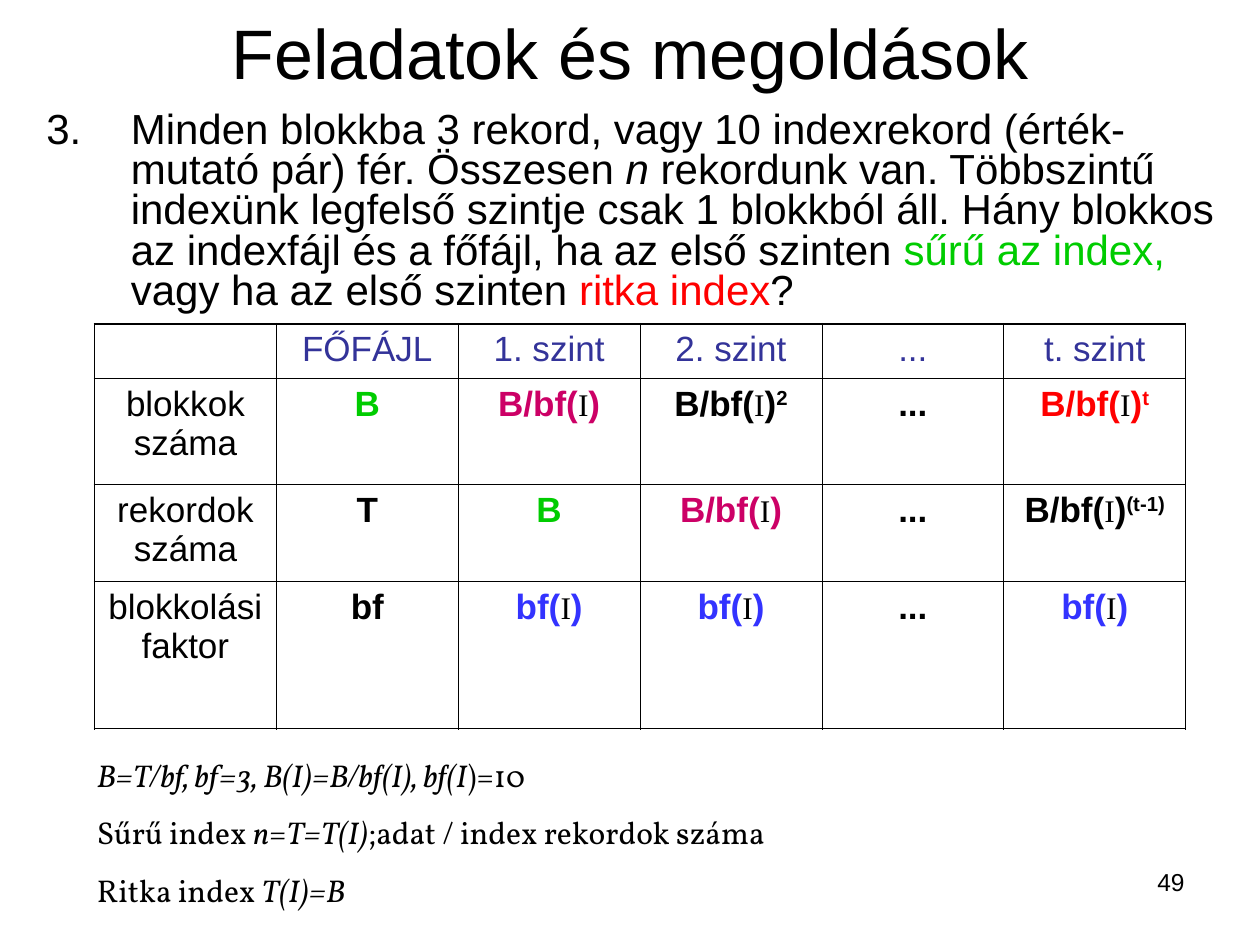
from lxml import etree
from pptx import Presentation
from pptx.dml.color import RGBColor
from pptx.enum.text import MSO_ANCHOR, PP_ALIGN
from pptx.oxml.ns import qn
from pptx.util import Inches, Pt

CENTER, LEFT, RIGHT = PP_ALIGN.CENTER, PP_ALIGN.LEFT, PP_ALIGN.RIGHT
TOP, MIDDLE = MSO_ANCHOR.TOP, MSO_ANCHOR.MIDDLE
WIDTH, HEIGHT = Inches(10), Inches(7.5)
COLORS = {"black": "000000", "green": "00CC00", "red": "FF0000",
          "navy": "333399", "magenta": "CC0066", "blue": "3333FF"}
THIN, THICK = Pt(0.45), Pt(1.08)
COLUMNS, ROWS = 6, (0.43, 0.84, 0.77, 1.17)


def share(left, top, width, height):
    """Turn percentages of the slide into a left, top, width, height tuple."""
    return (int(WIDTH * left / 100), int(HEIGHT * top / 100),
            int(WIDTH * width / 100), int(HEIGHT * height / 100))


def add_run(p, text, size, font="Arial", color="black", bold=False, italic=False, sup=False):
    """Append one formatted run to a paragraph."""
    r = p.add_run()
    r.text = text
    f = r.font
    f.size, f.name, f.bold, f.italic = Pt(size), font, bold, italic
    f.color.rgb = RGBColor.from_string(COLORS[color])
    if sup:
        r._r.get_or_add_rPr().set("baseline", "30000")


def add_text(slide, place, align=LEFT, anchor=TOP):
    """Add a wrapping text box and return its text frame."""
    tf = slide.shapes.add_textbox(*share(*place)).text_frame
    tf.word_wrap = True
    tf.vertical_anchor = anchor
    tf.paragraphs[0].alignment = align
    return tf


def number_paragraph(p, start, indent):
    """Give a paragraph an automatic number and a hanging indent."""
    pPr = p._p.get_or_add_pPr()
    pPr.set("marL", str(indent))
    pPr.set("indent", str(-indent))
    color = etree.SubElement(pPr, qn("a:buClr"))
    etree.SubElement(color, qn("a:srgbClr"), val=COLORS["black"])
    etree.SubElement(pPr, qn("a:buFont"), typeface="Arial")
    etree.SubElement(pPr, qn("a:buAutoNum"), type="arabicPeriod", startAt=str(start))


def set_borders(cell, row, col):
    """Draw thin cell borders, thick along the outside of the table."""
    outer = {"L": col == 0, "R": col == COLUMNS - 1,
             "T": row == 0, "B": row == len(ROWS) - 1}
    tcPr = cell._tc.get_or_add_tcPr()
    for side, thick in outer.items():
        ln = etree.SubElement(tcPr, qn(f"a:ln{side}"), w=str(THICK if thick else THIN))
        fill = etree.SubElement(ln, qn("a:solidFill"))
        etree.SubElement(fill, qn("a:srgbClr"), val=COLORS["black"])


def fill_cell(cell, text, color="black", bold=True, sup=""):
    """Write a centred cell, setting each index symbol I in a light serif."""
    p = cell.text_frame.paragraphs[0]
    p.alignment = CENTER
    head, symbol, tail = text.partition("I") if "(I)" in text else (text, "", "")
    add_run(p, head, 20, color=color, bold=bold)
    if symbol:
        add_run(p, symbol, 18, font="Times New Roman")
        add_run(p, tail, 20, color=color, bold=bold)
    if sup:
        add_run(p, sup, 20, color=color, bold=bold, sup=True)


def add_levels_table(slide, place, rows):
    """Add the table of blocks and records for each index level."""
    table = slide.shapes.add_table(len(ROWS), COLUMNS, *share(*place)).table
    table.first_row = table.horz_banding = False
    for row, height in zip(table.rows, ROWS):
        row.height = Inches(height)
    for i, entries in enumerate(rows):
        for j, entry in enumerate(entries):
            cell = table.cell(i, j)
            set_borders(cell, i, j)
            cell.fill.background()
            if entry:
                fill_cell(cell, *entry)


def add_notes(slide, place, lines):
    """Add the formula lines, each a list of text and italic pairs."""
    tf = add_text(slide, place)
    for i, line in enumerate(lines):
        p = tf.add_paragraph() if i else tf.paragraphs[0]
        if i:
            p.space_before = Pt(11.2)
        for text, italic in line:
            add_run(p, text, 18, font="Vollkorn", italic=italic)


def add_task(slide, place, runs):
    """Add the numbered task made of text and style pairs."""
    p = add_text(slide, place).paragraphs[0]
    number_paragraph(p, 3, Inches(0.67))
    p.line_spacing = 0.8
    for text, style in runs:
        add_run(p, text, 24, **style)


def main():
    """Build the slide and save it."""
    prs = Presentation()
    prs.slide_width, prs.slide_height = WIDTH, HEIGHT
    slide = prs.slides.add_slide(prs.slide_layouts[6])

    number = add_text(slide, (71.7, 91.07, 23.3, 6.93), RIGHT)
    add_run(number.paragraphs[0], "49", 14)
    title = add_text(slide, (5, 4, 90, 2.93), CENTER, MIDDLE)
    add_run(title.paragraphs[0], "Feladatok és megoldások", 40)

    add_task(slide, (2.7, 11.2, 95.3, 22), [
        ("Minden blokkba 3 rekord, vagy 10 indexrekord (érték-mutató pár) fér. Összesen ", {}),
        ("n", {"italic": True}),
        (" rekordunk van. Többszintű indexünk legfelső szintje csak 1 blokkból áll. "
         "Hány blokkos az indexfájl és a főfájl, ha az első szinten ", {}),
        ("sűrű az index, ", {"color": "green"}),
        ("vagy ha az első szinten ", {}),
        ("ritka index", {"color": "red"}),
        ("?", {})])

    dots = ("...",)
    per_block = ("B/bf(I)", "magenta")
    factor = ("bf(I)", "blue")
    header = [(text, "navy", False)
              for text in ("FŐFÁJL", "1. szint", "2. szint", "...", "t. szint")]
    add_levels_table(slide, (7.5, 34.27, 86.6, 42.8), [
        [None, *header],
        [("blokkok száma", "black", False), ("B", "green"), per_block,
         ("B/bf(I)", "black", True, "2"), dots, ("B/bf(I)", "red", True, "t")],
        [("rekordok száma", "black", False), ("T",), ("B", "green"), per_block,
         dots, ("B/bf(I)", "black", True, "(t-1)")],
        [("blokkolási faktor", "black", False), ("bf",), factor, factor, dots, factor]])

    add_notes(slide, (6.7, 79.33, 63, 17.6), [
        [("B=T/bf, bf=3, B(I)=B/bf(I), bf(I", True), (")=10", False)],
        [("Sűrű index ", False), ("n", True), ("=", False), ("T=T(I)", True),
         (";adat / index rekordok száma", False)],
        [("Ritka index ", False), ("T(I)=B", True)]])

    prs.save("out.pptx")


if __name__ == "__main__":
    main()
